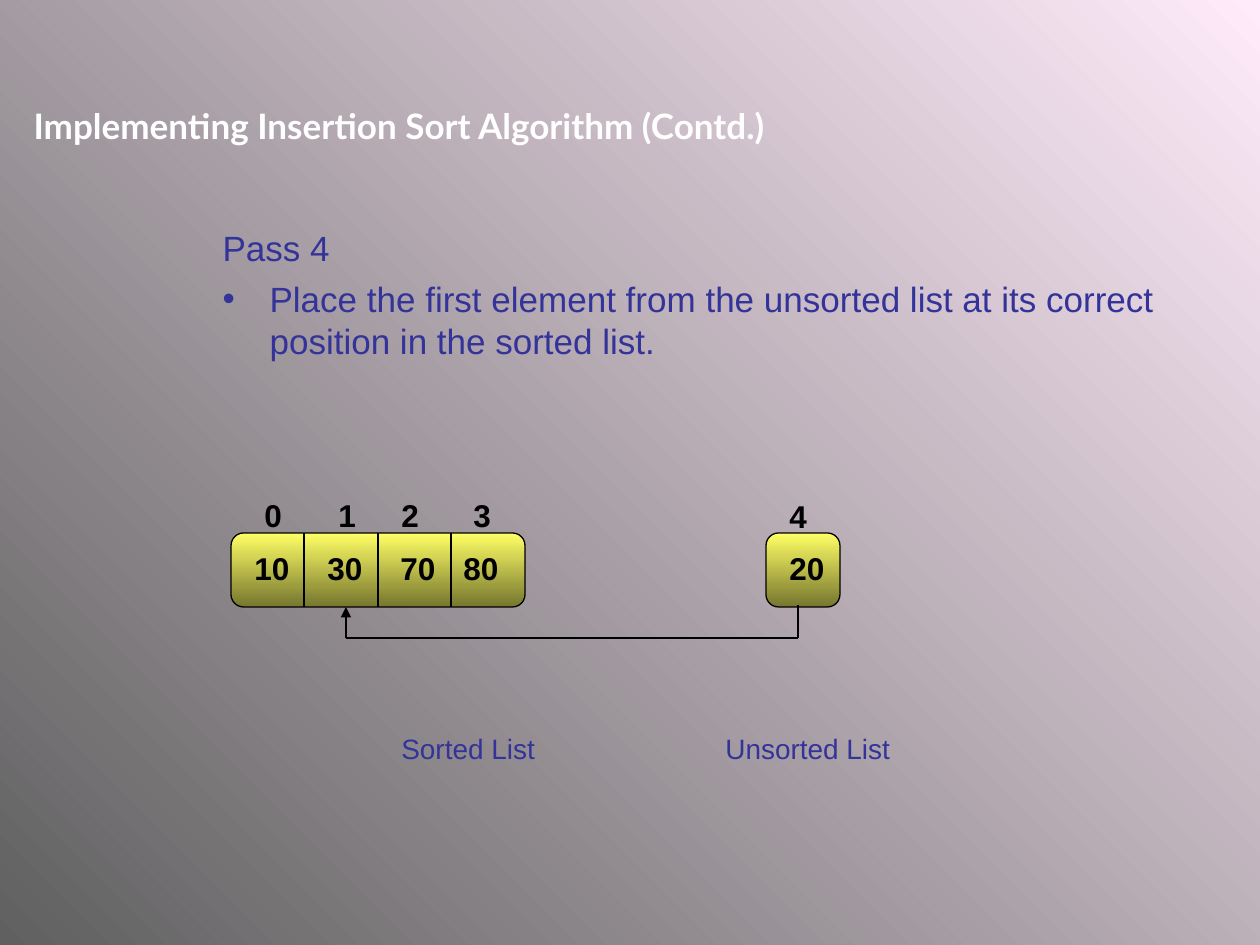
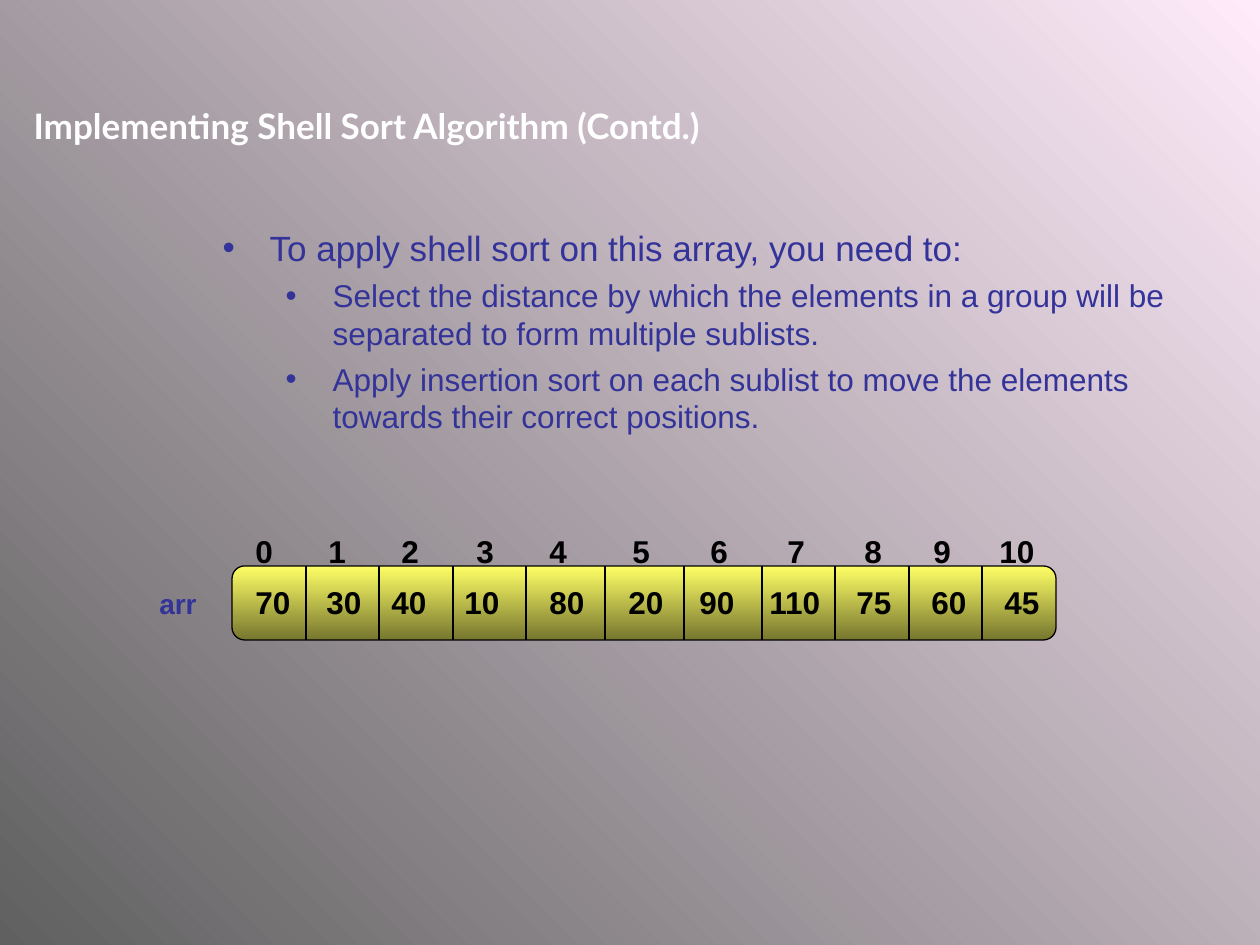
from itertools import pairwise

from lxml.etree import SubElement
from pptx import Presentation
from pptx.dml.color import RGBColor
from pptx.enum.shapes import MSO_CONNECTOR, MSO_SHAPE
from pptx.enum.text import MSO_ANCHOR, MSO_AUTO_SIZE, PP_ALIGN
from pptx.oxml.ns import qn
from pptx.util import Emu, Pt

PX_PER_INCH = 126
BLACK = RGBColor(0x00, 0x00, 0x00)
WHITE = RGBColor(0xFF, 0xFF, 0xFF)
INDIGO = RGBColor(0x33, 0x33, 0x99)
YELLOW = RGBColor(0xFF, 0xFF, 0x66)
OLIVE = RGBColor(0x76, 0x76, 0x2F)
GREY = RGBColor(0x60, 0x60, 0x60)
PINK = RGBColor(0xFF, 0xEB, 0xFA)

CELL_HEIGHT = 74
LINE_WIDTH = Pt(0.75)
BULLET_HANG = 47
# Per list level: text indent in px, font size, space before
LEVELS = [(47, 20, 5), (110, 18, 4.5)]

# Each element: index, left of index, value, left of value
SORTED = [("0", 252, "10", 242), ("1", 326, "30", 315),
          ("2", 389, "70", 388), ("3", 461, "80", 451)]
UNSORTED = [("4", 777, "20", 777)]
SHELL_ARRAY = [("0", 243, "70", 243), ("1", 316, "30", 314), ("2", 389, "40", 379),
               ("3", 464, "10", 452), ("4", 537, "80", 537), ("5", 620, "20", 616),
               ("6", 698, "90", 687), ("7", 775, "110", 757), ("8", 852, "75", 844),
               ("9", 921, "60", 919), ("10", 987, "45", 992)]


def px(length):
    return Emu(round(length * 914400 / PX_PER_INCH))


def place(shape, left, top, width, height):
    shape.left, shape.top = px(left), px(top)
    shape.width, shape.height = px(width), px(height)


def style_runs(paragraph, font_name, size, color, bold=False):
    for run in paragraph.runs:
        run.font.name = font_name
        run.font.size = Pt(size)
        run.font.color.rgb = color
        run.font.bold = bold


def fill_gradient(fill, start, end, angle):
    """Fill with two colours; the angle runs counter-clockwise from the right."""
    fill.gradient()
    fill.gradient_angle = angle
    for stop, color in zip(fill.gradient_stops, (start, end)):
        stop.color.rgb = color


def set_bullet(paragraph, indent, bulleted):
    properties = paragraph._p.get_or_add_pPr()
    properties.set("marL", str(px(indent)))
    properties.set("indent", str(-px(BULLET_HANG)))
    if bulleted:
        SubElement(properties, qn("a:buFont"), typeface="Arial")
        SubElement(properties, qn("a:buChar"), char="•")
    else:
        SubElement(properties, qn("a:buNone"))


def prepare_layout(prs):
    """Set the background and placeholder positions that all slides share."""
    fill_gradient(prs.slide_master.background.fill, GREY, PINK, 45)
    layout = prs.slide_layouts[1]
    title, body = list(layout.placeholders)[:2]
    place(title, 21, 98, 945, 55)
    place(body, 210, 220, 1008, 630)
    return layout


def add_slide(prs, layout, heading, points):
    """Add a slide; points are (text, level, bulleted)."""
    slide = prs.slides.add_slide(layout)
    title, body = slide.placeholders
    title.text_frame.text = heading
    for frame in (title.text_frame, body.text_frame):
        frame.vertical_anchor = MSO_ANCHOR.TOP
        frame.auto_size = MSO_AUTO_SIZE.NONE
    paragraph = title.text_frame.paragraphs[0]
    paragraph.alignment = PP_ALIGN.LEFT
    style_runs(paragraph, "Lato", 20, WHITE, bold=True)

    body.text_frame.text = "\n".join(text for text, _, _ in points)
    for paragraph, (_, level, bulleted) in zip(body.text_frame.paragraphs, points):
        indent, size, space = LEVELS[level]
        paragraph.level = level
        paragraph.space_before = Pt(space)
        set_bullet(paragraph, indent, bulleted)
        style_runs(paragraph, "Arial", size, INDIGO)
    return slide


def add_label(slide, text, left, top, width, size=16, color=INDIGO, bold=False):
    label = slide.shapes.add_textbox(px(left), px(top), px(width), px(50))
    label.text_frame.word_wrap = True
    label.text_frame.text = text
    style_runs(label.text_frame.paragraphs[0], "Arial", size, color, bold)


def add_number(slide, text, left, top):
    add_label(slide, text, left, top, 25 + 19 * len(text), 18, BLACK, bold=True)


def add_line(slide, start, end, arrow=False):
    line = slide.shapes.add_connector(
        MSO_CONNECTOR.STRAIGHT, *map(px, start), *map(px, end))
    line.line.color.rgb = BLACK
    line.line.width = LINE_WIDTH
    if arrow:
        SubElement(line.line._get_or_add_ln(), qn("a:tailEnd"), type="triangle")
    SubElement(line._element.spPr, qn("a:effectLst"))
    return line


def add_array(slide, edges, top, elements, index_rise, value_drop):
    """Draw a rounded bar split at the inner edges, with indexes above it."""
    left, *dividers, right = edges
    bar = slide.shapes.add_shape(MSO_SHAPE.ROUNDED_RECTANGLE, px(left), px(top),
                                 px(right - left), px(CELL_HEIGHT))
    bar.adjustments[0] = 0.17
    bar.shadow.inherit = False
    fill_gradient(bar.fill, YELLOW, OLIVE, 270)
    bar.line.color.rgb = BLACK
    bar.line.width = LINE_WIDTH
    for x in dividers:
        divider = add_line(slide, (x, top), (x, top + CELL_HEIGHT))
        if 2 * x == left + right:
            divider.begin_connect(bar, 0)
            divider.end_connect(bar, 2)
    for index, index_left, value, value_left in elements:
        add_number(slide, index, index_left, top - index_rise)
        add_number(slide, value, value_left, top + value_drop)


def add_insertion_slide(prs, layout):
    slide = add_slide(prs, layout, "Implementing Insertion Sort Algorithm (Contd.)", [
        ("Pass 4", 0, False),
        ("Place the first element from the unsorted list at its correct "
         "position in the sorted list.", 0, True),
    ])
    add_array(slide, [231, 304, 378, 451, 525], 533, SORTED, 43, 10)
    add_array(slide, [766, 840], 533, UNSORTED, 42, 10)
    route = [(798, 605), (798, 638), (346, 638), (346, 607)]
    for start, end in pairwise(route):
        add_line(slide, start, end, arrow=end == route[-1])
    add_label(slide, "Sorted List", 389, 725, 164)
    add_label(slide, "Unsorted List", 713, 725, 195)


def add_shell_slide(prs, layout):
    slide = add_slide(prs, layout, "Implementing Shell Sort Algorithm (Contd.)", [
        ("To apply shell sort on this array, you need to:", 0, True),
        ("Select the distance by which the elements in a group will be "
         "separated to form multiple sublists.", 1, True),
        ("Apply insertion sort on each sublist to move the elements "
         "towards their correct positions.", 1, True),
    ])
    edges = [232, 306, 379, 453, 526, 605, 684, 762, 835, 909, 982, 1056]
    add_array(slide, edges, 566, SHELL_ARRAY, 40, 11)
    add_label(slide, "arr", 147, 580, 66, bold=True)


def main():
    prs = Presentation()
    prs.slide_width, prs.slide_height = px(1260), px(945)
    layout = prepare_layout(prs)
    add_insertion_slide(prs, layout)
    add_shell_slide(prs, layout)
    prs.save("out.pptx")


if __name__ == "__main__":
    main()
